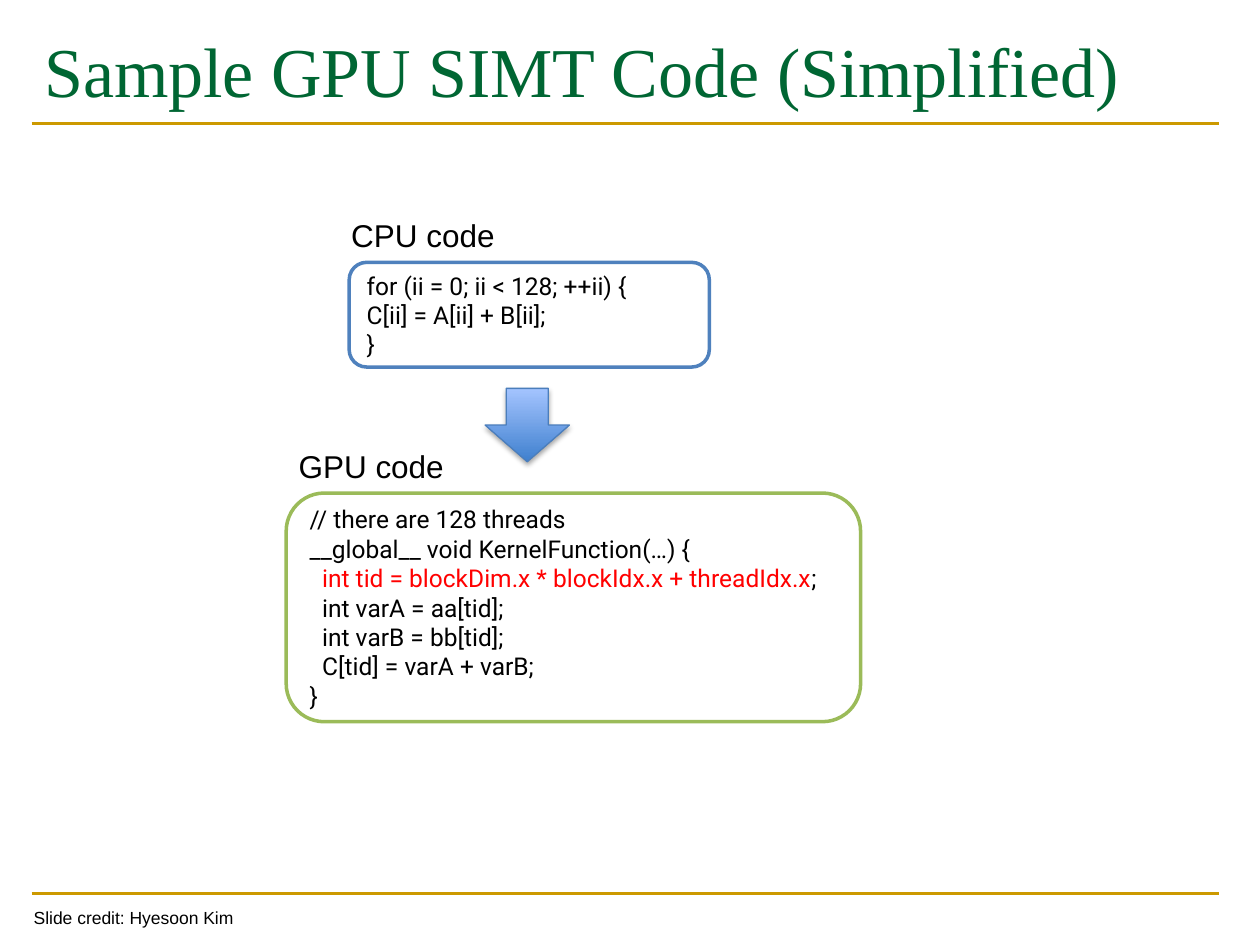
import pptx
import pptx.util
import pptx.dml.color
import pptx.enum.shapes
import pptx.enum.text
import pptx.oxml
import pptx.oxml.ns
from dataclasses import dataclass

Cm, Pt = pptx.util.Cm, pptx.util.Pt
Shape = pptx.enum.shapes.MSO_SHAPE
Anchor = pptx.enum.text.MSO_ANCHOR
Align = pptx.enum.text.PP_ALIGN


@dataclass(frozen=True)
class Theme:
    title: str = "006633"
    rule: str = "CC9900"
    blue: str = "4F81BD"
    green: str = "9BBB59"
    edge: str = "4B7EBC"
    deep: str = "3F80CE"
    pale: str = "A4C4FF"
    ink: str = "000000"
    paper: str = "FFFFFF"
    mark: str = "FF0000"
    serif: str = "Times New Roman"
    sans: str = "Arial"
    code: str = "Roboto"
    head: int = 40
    label: int = 18
    body: int = 14
    note: int = 10


theme = Theme()


def rgb(value):
    return pptx.dml.color.RGBColor.from_string(value)


def place(box):
    return [Cm(n) for n in box]


def style(para, face, size, color):
    para.alignment = Align.LEFT
    para.font.name = face
    para.font.size = Pt(size)
    para.font.color.rgb = rgb(color)


def write(slide, box, text, face, size, color):
    frame = slide.shapes.add_textbox(*place(box)).text_frame
    frame.word_wrap = True
    frame.text = text
    style(frame.paragraphs[0], face, size, color)


def rule(slide, x, y, w):
    line = slide.shapes.add_connector(
        pptx.enum.shapes.MSO_CONNECTOR.STRAIGHT, Cm(x), Cm(y), Cm(x + w), Cm(y))
    line.line.color.rgb = rgb(theme.rule)
    line.line.width = Pt(1.5)
    line._element.spPr.append(pptx.oxml.parse_xml(
        f'<a:effectLst {pptx.oxml.ns.nsdecls("a")}/>'))


def header(slide, box, text):
    x, y, w, h = box
    rule(slide, x, y + 2.06, w)
    write(slide, box, text, theme.serif, theme.head, theme.title)


def footer(slide, box, text):
    x, y, w, h = box
    rule(slide, x, y, w)
    write(slide, (x - 0.21, y + 0.15, 4.6, h - 0.15), text,
          theme.sans, theme.note, theme.ink)


def panel(slide, box, label, lines, color, inset=0):
    x, y, w, h = box
    write(slide, (x, y, 3.86, 1.02), label, theme.sans, theme.label, theme.ink)
    card = slide.shapes.add_shape(
        Shape.ROUNDED_RECTANGLE, *place((x + inset, y + 1.05, w - inset, h - 1.05)))
    card.shadow.inherit = False
    card.fill.solid()
    card.fill.fore_color.rgb = rgb(theme.paper)
    card.line.color.rgb = rgb(color)
    card.line.width = Pt(2)
    frame = card.text_frame
    frame.word_wrap = True
    frame.vertical_anchor = Anchor.MIDDLE
    for i, (level, parts) in enumerate(lines):
        para = frame.add_paragraph() if i else frame.paragraphs[0]
        style(para, theme.code, theme.body, theme.ink)
        para._p.get_or_add_pPr().set("marL", str(Cm(0.25 * level)))
        for text, tint in parts:
            run = para.add_run()
            run.text = text
            if tint:
                run.font.color.rgb = rgb(tint)


def arrow(slide, box):
    shape = slide.shapes.add_shape(Shape.DOWN_ARROW, *place(box))
    shape.line.color.rgb = rgb(theme.edge)
    shape.line.width = Pt(0.75)
    shape.fill.gradient()
    shape.fill.gradient_angle = 90
    for stop, color, at in zip(shape.fill.gradient_stops,
                               (theme.deep, theme.pale), (0, 1)):
        stop.color.rgb = rgb(color)
        stop.position = at
    shape._element.spPr.append(pptx.oxml.parse_xml(
        f'<a:effectLst {pptx.oxml.ns.nsdecls("a")}>'
        f'<a:outerShdw blurRad="{Pt(3.1)}" dist="{Pt(1.8)}" dir="5400000" rotWithShape="0">'
        f'<a:srgbClr val="{theme.ink}"><a:alpha val="35000"/></a:srgbClr>'
        '</a:outerShdw></a:effectLst>'))


def plain(level, text):
    return level, [(text, None)]


def main():
    deck = pptx.Presentation()
    deck.slide_width, deck.slide_height = Cm(25.4), Cm(19.05)
    slide = deck.slides.add_slide(deck.slide_layouts[6])
    header(slide, (0.64, 0.43, 23.93, 2.97), "Sample GPU SIMT Code (Simplified)")
    panel(slide, (6.83, 4.24, 7.47, 3.16), "CPU code", [
        plain(0, "for (ii = 0; ii < 128; ++ii) {"),
        plain(0, "C[ii] = A[ii] + B[ii];"),
        plain(0, "}"),
    ], theme.blue, 0.21)
    panel(slide, (5.77, 8.89, 11.58, 5.66), "GPU code", [
        plain(0, "// there are 128 threads"),
        plain(0, "__global__ void KernelFunction(…) {"),
        (1, [("int tid = blockDim.x * blockIdx.x + threadIdx.x", theme.mark),
             (";", None)]),
        plain(1, "int varA = aa[tid];"),
        plain(1, "int varB = bb[tid];"),
        plain(1, "C[tid] = varA + varB;"),
        plain(0, "}"),
    ], theme.green)
    arrow(slide, (9.78, 7.83, 1.7, 1.48))
    footer(slide, (0.64, 18.01, 23.93, 0.84), "Slide credit: Hyesoon Kim")
    deck.save("out.pptx")


if __name__ == "__main__":
    main()
